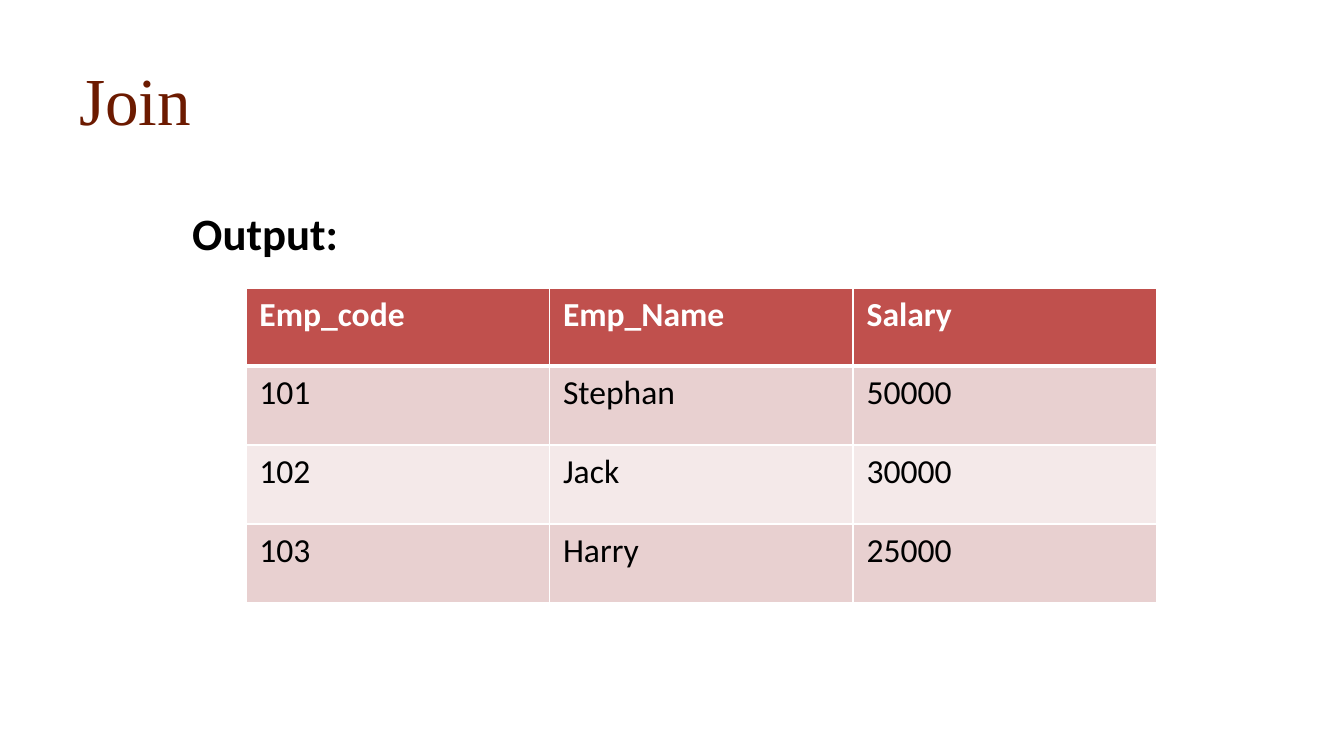
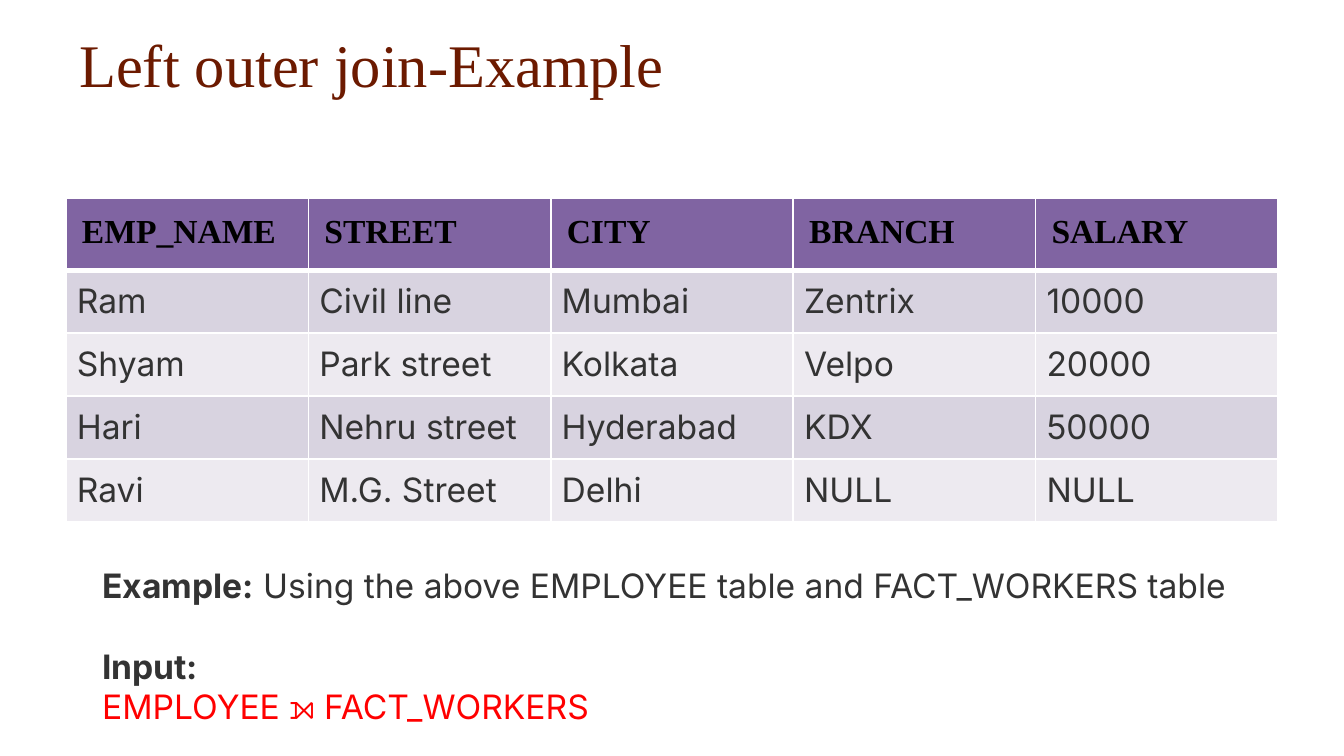
from dataclasses import dataclass

from lxml.etree import SubElement
from pptx import Presentation
from pptx.dml.color import RGBColor
from pptx.enum.text import MSO_ANCHOR, PP_ALIGN
from pptx.oxml.ns import qn
from pptx.util import Emu, Pt

EMU_PER_PX = 914400 / 134.4
WIDTH, HEIGHT = 1344, 756

BLACK = RGBColor(0x00, 0x00, 0x00)
WHITE = RGBColor(0xFF, 0xFF, 0xFF)
INK = RGBColor(0x33, 0x33, 0x33)
MAROON = RGBColor(0x6C, 0x1A, 0x00)
RED = RGBColor(0xFF, 0x00, 0x00)
BRICK = RGBColor(0xC0, 0x50, 0x4D)
ROSE = RGBColor(0xE8, 0xD0, 0xD0)
BLUSH = RGBColor(0xF4, 0xE9, 0xE9)
PURPLE = RGBColor(0x80, 0x64, 0xA2)
LILAC = RGBColor(0xD8, 0xD3, 0xE0)
MIST = RGBColor(0xED, 0xEA, 0xF0)

SERIF, SANS, INTER = "Times New Roman", "Calibri", "Inter"


def px(n):
    return Emu(round(n * EMU_PER_PX))


@dataclass
class TextStyle:
    font: str
    size: float
    color: RGBColor
    bold: bool = False
    align: PP_ALIGN = PP_ALIGN.LEFT

    def apply(self, p):
        p.alignment = self.align
        p.font.name, p.font.size = self.font, Pt(self.size)
        p.font.color.rgb, p.font.bold = self.color, self.bold


@dataclass
class TableStyle:
    head: TextStyle
    body: TextStyle
    head_fill: RGBColor
    bands: tuple
    head_inset: int = 0
    body_inset: int = 0


EMPLOYEE_STYLE = TableStyle(
    TextStyle(SANS, 18, WHITE, bold=True), TextStyle(SANS, 18, BLACK),
    BRICK, (ROSE, BLUSH))
JOIN_STYLE = TableStyle(
    TextStyle(SERIF, 18, BLACK, bold=True),
    TextStyle(INTER, 18, INK, align=PP_ALIGN.JUSTIFY),
    PURPLE, (LILAC, MIST), head_inset=16, body_inset=11)


class Deck:
    def __init__(self):
        self.prs = Presentation()
        self.prs.slide_width, self.prs.slide_height = px(WIDTH), px(HEIGHT)
        self.slide = None

    def new_slide(self, title, size, bottom_inset=7):
        self.slide = self.prs.slides.add_slide(self.prs.slide_layouts[6])
        tf = self.text(66, 42, 1212, 113,
                       [([title], TextStyle(SERIF, size, MAROON), 0)])
        tf.vertical_anchor = MSO_ANCHOR.MIDDLE
        tf.margin_bottom = px(bottom_inset)

    def text(self, x, y, w, h, paragraphs):
        """Each paragraph is (runs, style, space before); of two runs the first is bold."""
        tf = self.slide.shapes.add_textbox(px(x), px(y), px(w), px(h)).text_frame
        tf.word_wrap = True
        for i, (runs, style, space) in enumerate(paragraphs):
            p = tf.add_paragraph() if i else tf.paragraphs[0]
            style.apply(p)
            p.space_before = Pt(space)
            for text in runs:
                p.add_run().text = text
            if len(runs) > 1:
                p.runs[0].font.bold = True
        return tf

    def table(self, x, y, w, head_h, body_h, rows, style):
        n_rows, n_cols = len(rows), len(rows[0])
        h = head_h + body_h * (n_rows - 1)
        table = self.slide.shapes.add_table(
            n_rows, n_cols, px(x), px(y), px(w), px(h)).table
        for column in table.columns:
            column.width = px(w / n_cols)
        for i, row in enumerate(rows):
            table.rows[i].height = px(body_h if i else head_h)
            for j, text in enumerate(row):
                self.cell(table.cell(i, j), text, i, style)

    def cell(self, cell, text, row, style):
        cell.text = text
        (style.body if row else style.head).apply(cell.text_frame.paragraphs[0])
        inset = style.body_inset if row else style.head_inset
        if inset:
            cell.margin_left = cell.margin_right = px(inset)
            cell.margin_top = cell.margin_bottom = px(inset)
        self.borders(cell, top=3 if row == 1 else 1, bottom=1 if row else 3)
        cell.fill.solid()
        cell.fill.fore_color.rgb = style.bands[(row - 1) % 2] if row else style.head_fill

    def borders(self, cell, top, bottom):
        tc_pr = cell._tc.get_or_add_tcPr()
        for side, width in zip("LRTB", (1, 1, top, bottom)):
            line = SubElement(tc_pr, qn(f"a:ln{side}"), w=str(Pt(width)))
            fill = SubElement(line, qn("a:solidFill"))
            SubElement(fill, qn("a:srgbClr"), val=str(WHITE))


def add_join_output(deck):
    deck.new_slide("Join", 36)
    deck.table(246, 288, 911, 78, 79, [
        ("Emp_code", "Emp_Name", "Salary"),
        ("101", "Stephan", "50000"),
        ("102", "Jack", "30000"),
        ("103", "Harry", "25000"),
    ], EMPLOYEE_STYLE)
    deck.text(179, 199, 224, 67,
              [(["Output:"], TextStyle(SANS, 24, BLACK, bold=True), 0)])


def add_left_outer_join(deck):
    deck.new_slide("Left outer join-Example", 32.4, bottom_inset=76)
    deck.table(66, 198, 1212, 71, 63, [
        ("EMP_NAME", "STREET", "CITY", "BRANCH", "SALARY"),
        ("Ram", "Civil line", "Mumbai", "Zentrix", "10000"),
        ("Shyam", "Park street", "Kolkata", "Velpo", "20000"),
        ("Hari", "Nehru street", "Hyderabad", "KDX", "50000"),
        ("Ravi", "M.G. Street", "Delhi", "NULL", "NULL"),
    ], JOIN_STYLE)
    label = TextStyle(INTER, 18, INK, bold=True, align=PP_ALIGN.JUSTIFY)
    formula = TextStyle(INTER, 18, RED, align=PP_ALIGN.JUSTIFY)
    deck.text(89, 558, 1167, 176, [
        (["Example:", " Using the above EMPLOYEE table and FACT_WORKERS table"],
         JOIN_STYLE.body, 0),
        (["Input:"], label, 21.8),
        (["EMPLOYEE ⟕ FACT_WORKERS"], formula, 0),
    ])


def main():
    deck = Deck()
    add_join_output(deck)
    add_left_outer_join(deck)
    deck.prs.save("out.pptx")


if __name__ == "__main__":
    main()
